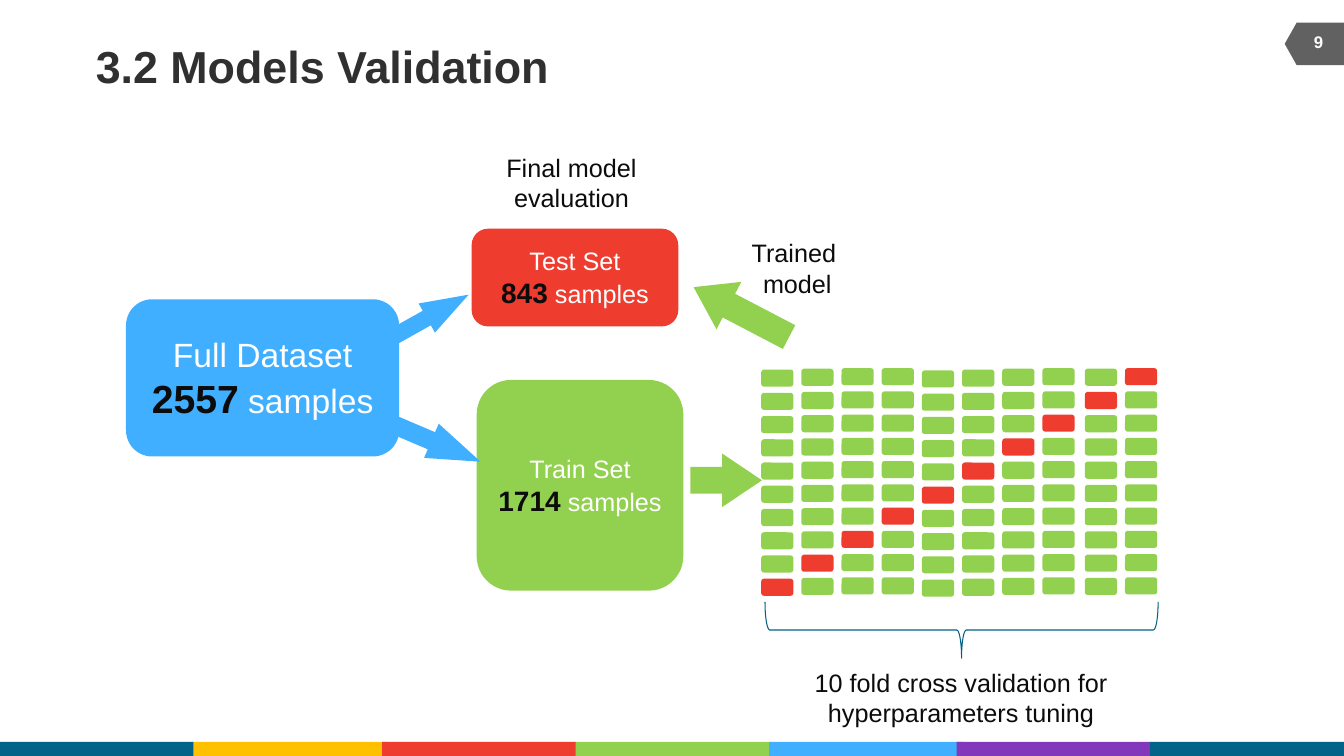
"""Build the slide on models validation with a ten fold grid."""
from pptx import Presentation
from pptx.dml.color import RGBColor
from pptx.enum.shapes import MSO_SHAPE as Shape
from pptx.enum.text import MSO_ANCHOR as Anchor, PP_ALIGN as Align
from pptx.util import Pt

COLORS = {
    "teal": "006387", "yellow": "FFC000", "red": "EE3C2E", "green": "92D050",
    "blue": "40AFFF", "purple": "8238BA", "gray": "616161", "title": "303030",
    "white": "FFFFFF", "ink": "0C0C0C", "brace": "006184",
}
FONT = "Arial"
SLIDE_SIZE = (960, 540)

STRIPES = [("teal", 0), ("yellow", 138.2), ("red", 272.9), ("green", 411.1),
           ("blue", 549.4), ("purple", 683.3), ("teal", 821.5)]
STRIPE_TOP, STRIPE_SIZE = 529.9, (138.5, 10.1)

PAGE_TAG = (923.8, 10.1, 30.2, 42.5)

DATASETS = [
    ("Full Dataset", "2557", "blue", (90, 213.8, 195.1, 112.3), 24, 28),
    ("Test Set", "843", "red", (336.9, 163.4, 147.6, 69.8), 18, 20),
    ("Train Set", "1714", "green", (340.5, 271.4, 147.6, 150.5), 18, 20),
]

ARROWS = [
    ("blue", (270.7, 215.3, 68.4, 23.8), 330.8, 1.436),
    ("blue", (270.7, 301.7, 75.6, 26.6), 23.1, 1.436),
    ("green", (493.2, 324, 51.1, 38.2), 0, 0.745),
    ("green", (491, 203.8, 77, 38.2), 207.6, 0.745),
]

FOLDS = 10
FOLD_LEFT, FOLD_PITCH, ROW_PITCH, FOLD_SIZE = 543.7, 28.7, 16.6, (23, 12.2)
FOLD_TOPS = [264, 263.4, 263, 263, 264.6, 264, 263.4, 263, 263.4, 263]
FOLD_SHIFTS = [0] * 8 + [1.6, 1.6]

BRACE = (666.7, 309.6, 40.3, 280.8)

CAPTIONS = [
    (["10 fold cross validation for hyperparameters tuning"], (537.8, 473, 297.4, 51.1)),
    (["Final model evaluation"], (319.7, 105.1, 177.1, 51.1)),
    (["Trained ", "model"], (481, 166.3, 177.1, 51.1)),
]


def color(name):
    return RGBColor.from_string(COLORS[name])


def add_block(slide, kind, box, fill, rotation=0):
    shape = slide.shapes.add_shape(kind, *map(Pt, box))
    shape.shadow.inherit = False
    shape.rotation = rotation
    shape.line.fill.background()
    if fill:
        shape.fill.solid()
        shape.fill.fore_color.rgb = color(fill)
    else:
        shape.fill.background()
    return shape


def write(shape, lines, align=Align.CENTER, anchor=Anchor.MIDDLE):
    frame = shape.text_frame
    frame.word_wrap = True
    frame.vertical_anchor = anchor
    for index, runs in enumerate(lines):
        paragraph = frame.add_paragraph() if index else frame.paragraphs[0]
        paragraph.alignment = align
        for text, size, name, bold in runs:
            run = paragraph.add_run()
            run.text = text
            run.font.color.rgb = color(name)
            formats = {"name": FONT, "size": Pt(size), "bold": bold}
            for key, value in formats.items():
                setattr(run.font, key, value)
    return frame


def add_text(slide, box, lines, **options):
    return write(slide.shapes.add_textbox(*map(Pt, box)), lines, **options)


def add_frame(slide):
    for name, left in STRIPES:
        add_block(slide, Shape.RECTANGLE, (left, STRIPE_TOP, *STRIPE_SIZE), name)
    add_block(slide, Shape.FLOWCHART_OFFPAGE_CONNECTOR, PAGE_TAG, "gray", 90)
    title = add_text(slide, (68.4, 28.1, 591.8, 37.4),
                     [[("3.2 Models Validation", 32, "title", True)]], align=Align.LEFT)
    for side in ("left", "top", "right", "bottom"):
        setattr(title, f"margin_{side}", 0)
    add_text(slide, (921.6, 15.8, 40.3, 28.8), [[("9", 12, "white", True)]])


def add_folds(slide):
    for column, (top, shift) in enumerate(zip(FOLD_TOPS, FOLD_SHIFTS)):
        left = FOLD_LEFT + column * FOLD_PITCH + shift
        for row in range(FOLDS):
            fill = "red" if row + column == FOLDS - 1 else "green"
            box = (left, top + row * ROW_PITCH, *FOLD_SIZE)
            add_block(slide, Shape.ROUNDED_RECTANGLE, box, fill)


def main():
    presentation = Presentation()
    presentation.slide_width, presentation.slide_height = map(Pt, SLIDE_SIZE)
    slide = presentation.slides.add_slide(presentation.slide_layouts[6])
    add_frame(slide)
    for label, count, fill, box, size, count_size in DATASETS:
        shape = add_block(slide, Shape.ROUNDED_RECTANGLE, box, fill)
        write(shape, [[(label, size, "white", False)],
                      [(count, count_size, "ink", True), (" samples", size, "white", False)]])
    for fill, box, rotation, head in ARROWS:
        arrow = add_block(slide, Shape.RIGHT_ARROW, box, fill, rotation)
        arrow.adjustments[1] = head
    add_folds(slide)
    brace = add_block(slide, Shape.LEFT_BRACE, BRACE, None, 270)
    brace.line.color.rgb = color("brace")
    brace.line.width = Pt(0.75)
    for lines, box in CAPTIONS:
        add_text(slide, box, [[(line, 18, "ink", False)] for line in lines], anchor=Anchor.TOP)
    presentation.save("out.pptx")


if __name__ == "__main__":
    main()
